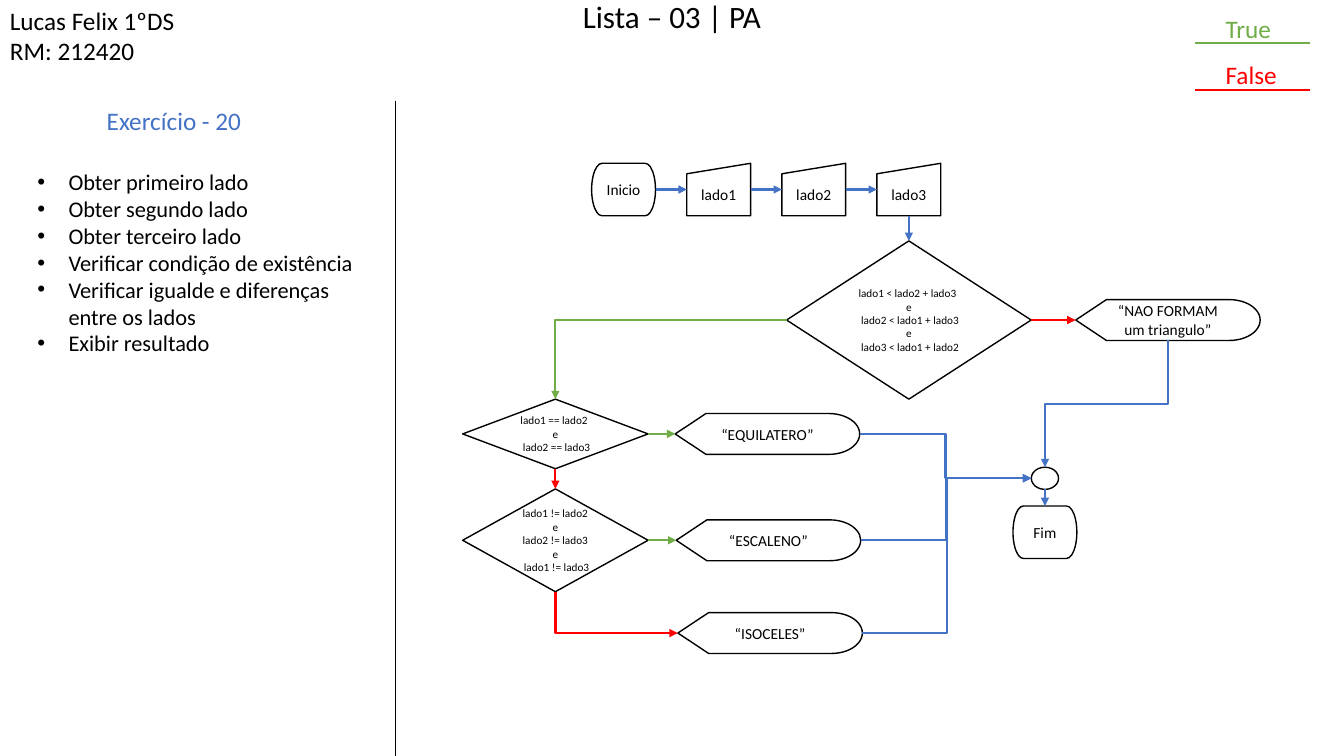
from math import cos, sin, radians
from lxml.etree import SubElement
from pptx import Presentation
from pptx.dml.color import RGBColor
from pptx.enum.shapes import MSO_CONNECTOR, MSO_SHAPE
from pptx.enum.text import MSO_ANCHOR, MSO_AUTO_SIZE, PP_ALIGN
from pptx.oxml.ns import qn
from pptx.util import Inches, Pt

BLACK, BLUE, GREEN, RED = "000000", "4472C4", "70AD47", "FF0000"
tint = RGBColor.from_string

deck = Presentation()
deck.slide_width, deck.slide_height = Inches(13.33), Inches(7.5)
slide = deck.slides.add_slide(deck.slide_layouts[1])
shapes = slide.shapes
COL, ROW = deck.slide_width / 40, deck.slide_height / 30


def write(frame, lines, size, color, align=PP_ALIGN.LEFT, anchor=MSO_ANCHOR.TOP):
    frame.word_wrap = True
    frame.auto_size = MSO_AUTO_SIZE.NONE
    frame.vertical_anchor = anchor
    for i, line in enumerate(lines):
        para = frame.add_paragraph() if i else frame.paragraphs[0]
        para.alignment = align
        para.space_before = Pt(0)
        run = para.add_run()
        run.text = line
        run.font.size, run.font.name = Pt(size), "Calibri"
        run.font.color.rgb = tint(color)


def link(start, end, color, width=1.5, head=True, bend="line", turn=0):
    # Undo the turn around the middle, so that the turned line meets both ends
    (x1, y1), (x2, y2) = [(x * COL, y * ROW) for x, y in (start, end)]
    mx, my, dx, dy = (x1 + x2) / 2, (y1 + y2) / 2, (x2 - x1) / 2, (y2 - y1) / 2
    c, s = cos(radians(turn)), sin(radians(turn))
    dx, dy = dx * c + dy * s, dy * c - dx * s
    wire = shapes.add_connector(MSO_CONNECTOR.STRAIGHT, round(mx - dx), round(my - dy),
                                round(mx + dx), round(my + dy))
    wire.line.color.rgb, wire.line.width = tint(color), Pt(width)
    props = wire._element.spPr
    props.find(qn("a:prstGeom")).set("prst", bend)
    if turn:
        props.find(qn("a:xfrm")).set("rot", str(turn * 60000))
    if head:
        SubElement(props.find(qn("a:ln")), qn("a:tailEnd"), type="triangle")
    SubElement(props, qn("a:effectLst"))


# Title and list of steps
title, steps = shapes.title, slide.placeholders[1]
for box, x, y, w, h in [(title, 16.05, 0, 7.89, 1.68), (steps, 0.81, 6.48, 10.68, 7.96)]:
    box.left, box.top = round(x * COL), round(y * ROW)
    box.width, box.height = round(w * COL), round(h * ROW)
write(title.text_frame, ["Lista – 03 | PA"], 22.2, BLACK, PP_ALIGN.CENTER)
title.text_frame.paragraphs[0].line_spacing = 0.8
write(steps.text_frame, [
    "Obter primeiro lado", "Obter segundo lado", "Obter terceiro lado",
    "Verificar condição de existência",
    "Verificar igualde e diferenças entre os lados", "Exibir resultado"], 16, BLACK)
for para in steps.text_frame.paragraphs:
    props = para._p.get_or_add_pPr()
    props.set("marL", str(Inches(0.31)))
    props.set("indent", str(-Inches(0.31)))
    SubElement(props, qn("a:buFont"), typeface="Arial")
    SubElement(props, qn("a:buChar"), char="•")

# Author, heading and legend
for lines, x, y, color in [
        (["Lucas Felix 1ºDS", "RM: 212420"], 0, 0, BLACK),
        (["Exercício - 20"], 2.88, 4, BLUE),
        (["True"], 36.18, 0.32, GREEN),
        (["False"], 36.18, 2.16, RED)]:
    note = shapes.add_textbox(round(x * COL), round(y * ROW), round(6.6 * COL),
                              round(1.6 * ROW * len(lines)))
    write(note.text_frame, lines, 18, color)
for y, color in [(1.72, GREEN), (3.56, RED)]:
    link((35.56, y), (38.98, y), color, head=False)
link((11.76, 4), (11.76, 30), BLACK, 0.5, head=False)

# Flowchart nodes, placed by their centres
STEP, TOP, TEST, JOIN = 2.83, 7.52, 16.53, 31.1
CHAIN = [18.56 + STEP * i for i in range(4)]
MAIN, EQUAL, DIFF, LAST, MEET = 12.7, 17.22, 21.44, 25.12, 18.98
END, INPUT = MSO_SHAPE.FLOWCHART_TERMINATOR, MSO_SHAPE.FLOWCHART_MANUAL_INPUT
ASK, SHOW = MSO_SHAPE.FLOWCHART_DECISION, MSO_SHAPE.FLOWCHART_DISPLAY
SMALL, WIDE = (1.9, 2.08), (5.49, 1.62)
for kind, x, y, (w, h), size, lines in [
        (END, CHAIN[0], TOP, SMALL, 11, ["Inicio"]),
        (INPUT, CHAIN[1], TOP, SMALL, 11, ["lado1"]),
        (INPUT, CHAIN[2], TOP, SMALL, 11, ["lado2"]),
        (INPUT, CHAIN[3], TOP, SMALL, 11, ["lado3"]),
        (ASK, CHAIN[3], MAIN, (7.28, 6.28), 8, [
            "lado1 < lado2 + lado3 ", "e", " lado2 < lado1 + lado3 ", "e",
            " lado3 < lado1 + lado2"]),
        (ASK, TEST, EQUAL, (5.52, 2.76), 8, ["lado1 == lado2 ", "e", " lado2 == lado3"]),
        (ASK, TEST, DIFF, (5.52, 4.08), 8, [
            "lado1 != lado2 e", " lado2 != lado3 ", "e", " lado1 != lado3"]),
        (SHOW, 34.76, MAIN, WIDE, 11, ["“NAO FORMAM um triangulo”"]),
        (SHOW, 22.84, EQUAL, WIDE, 11, ["“EQUILATERO”"]),
        (SHOW, 22.87, DIFF, WIDE, 11, ["“ESCALENO”"]),
        (SHOW, 22.92, LAST, WIDE, 11, ["“ISOCELES”"]),
        (MSO_SHAPE.OVAL, JOIN, MEET, (0.81, 0.88), 11, []),
        (END, JOIN, 21.12, SMALL, 11, ["Fim"])]:
    node = shapes.add_shape(kind, round((x - w / 2) * COL), round((y - h / 2) * ROW),
                            round(w * COL), round(h * ROW))
    node.shadow.inherit = False
    node.fill.background()
    node.line.color.rgb, node.line.width = tint(BLACK), Pt(1)
    write(node.text_frame, lines, size, BLACK, PP_ALIGN.CENTER, MSO_ANCHOR.MIDDLE)

# Straight arrows
for x in CHAIN[:3]:
    link((x + 0.95, TOP), (x + STEP - 0.95, TOP), BLUE)
for start, end, color in [
        ((CHAIN[3], 8.56), (CHAIN[3], 9.56), BLUE),
        ((30.69, MAIN), (32.01, MAIN), RED),
        ((19.29, EQUAL), (20.1, EQUAL), GREEN),
        ((19.29, DIFF), (20.13, DIFF), GREEN),
        ((TEST, 18.6), (TEST, 19.4), RED),
        ((JOIN, 19.42), (JOIN, 20.08), BLUE)]:
    link(start, end, color)

# Bent arrows
link((23.41, MAIN), (TEST, 15.84), GREEN, bend="bentConnector2")
link((TEST, 23.48), (20.17, LAST), RED, bend="bentConnector2", turn=270)
link((34.76, 13.51), (JOIN, 18.54), BLUE, bend="bentConnector3", turn=90)
for x, y in [(25.59, EQUAL), (25.62, DIFF), (25.66, LAST)]:
    link((x, y), (30.69, MEET), BLUE, bend="bentConnector3")

deck.save("out.pptx")
